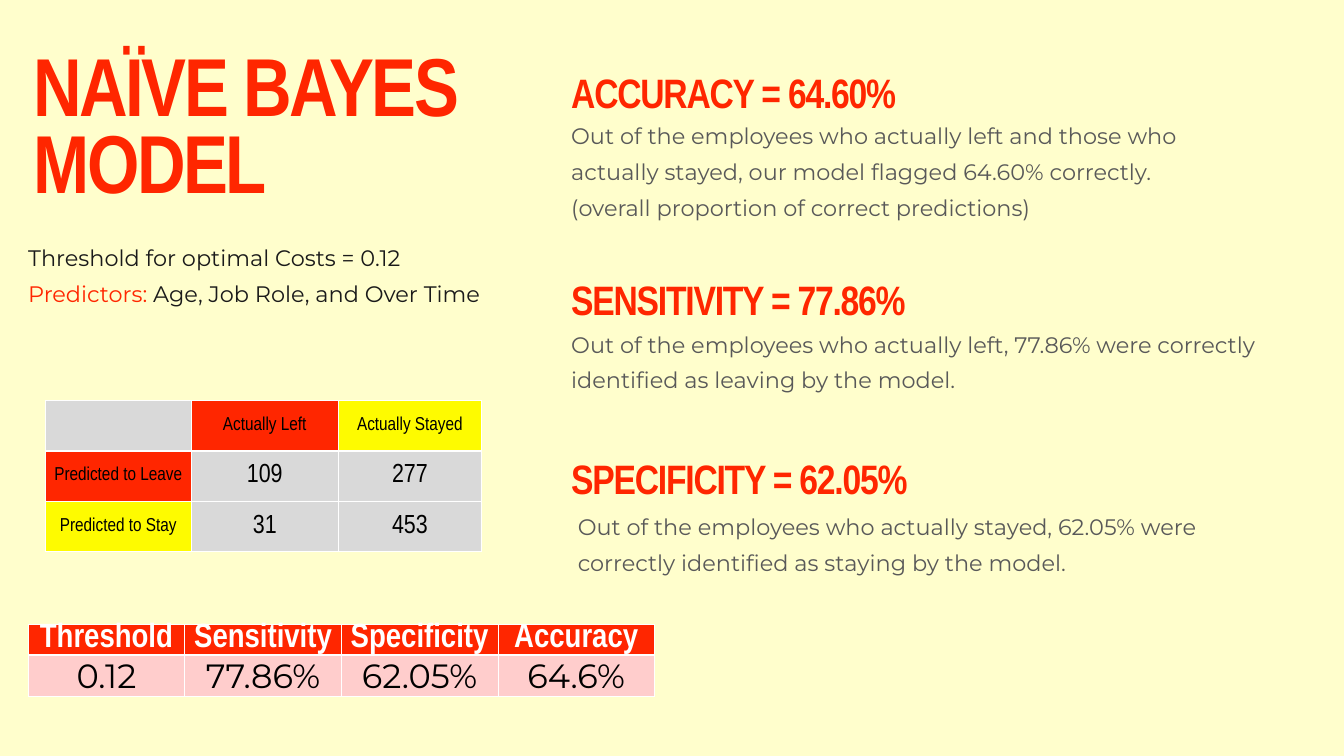
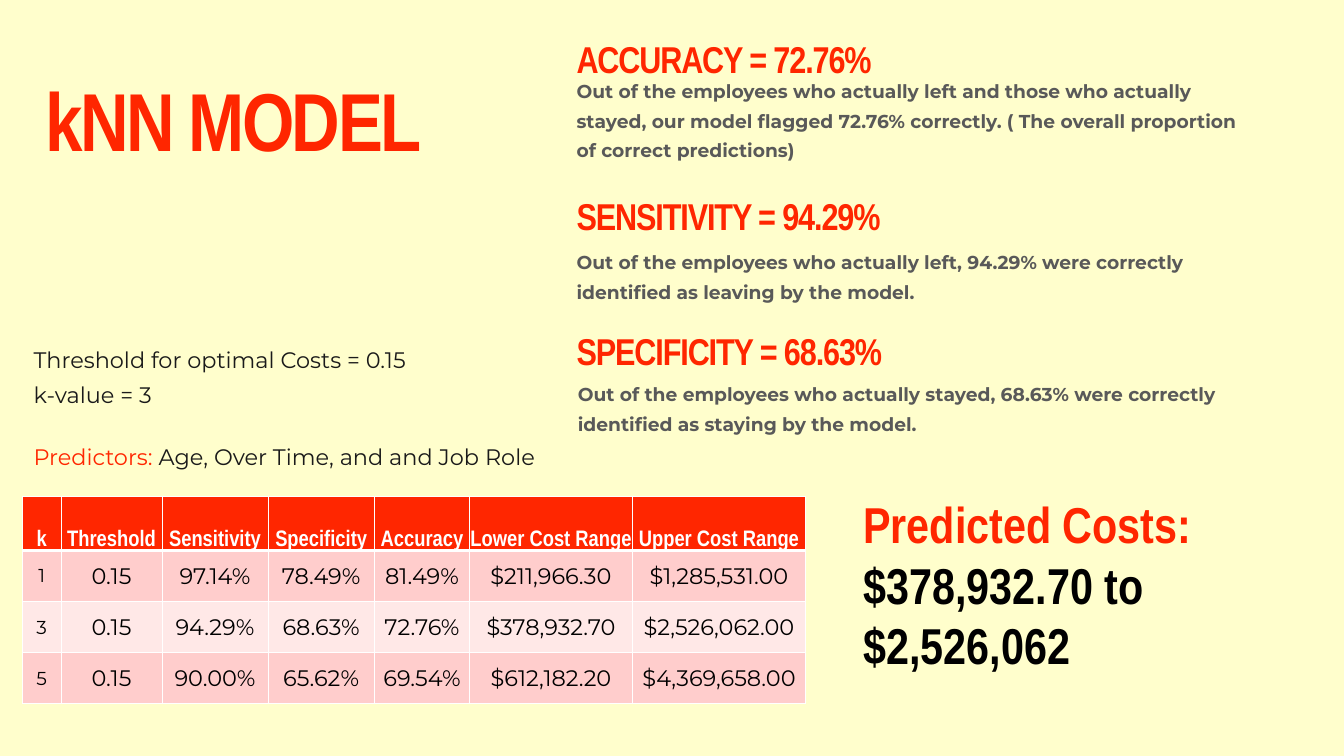
from dataclasses import dataclass

from lxml.etree import SubElement
from pptx import Presentation
from pptx.dml.color import RGBColor as Rgb
from pptx.enum.text import MSO_ANCHOR as Anchor, MSO_AUTO_SIZE as AutoSize, PP_ALIGN as Align
from pptx.oxml.ns import qn
from pptx.util import Inches, Pt


@dataclass(frozen=True)
class Theme:
    # Colours
    cream: str = "FFFECC"
    red: str = "FF2600"
    yellow: str = "FEFB00"
    grey: str = "D9D9D9"
    pink: str = "FFCDCC"
    pale_pink: str = "FFE8E7"
    white: str = "FFFFFF"
    black: str = "000000"
    ink: str = "1A1A1A"
    slate: str = "595959"
    # Fonts
    display: str = "Arial Narrow"
    text: str = "Montserrat"
    # Type sizes in points
    title: int = 88
    costs: int = 54
    large: int = 44
    heading: int = 40
    summary: int = 36
    count: int = 28
    body: int = 24
    small: int = 20
    # Line spacing
    title_lines: float = 0.78
    head_lines: float = 0.8
    heading_lines: float = 0.91
    body_lines: float = 1.33


THEME = Theme()


def style_span(span, size, color, font=THEME.text, bold=False, tight=False):
    span.font.size = Pt(size)
    span.font.name = font
    span.font.bold = bold
    span.font.color.rgb = Rgb.from_string(color)
    if tight:  # tracking of -3 % of the type size, in hundredths of a point
        span.font._element.set("spc", str(-3 * size))


def place(box, left, top, width, height):
    box.left, box.top = Inches(left), Inches(top)
    box.width, box.height = Inches(width), Inches(height)


def prepare_frame(box, anchor=Anchor.MIDDLE, inset=False):
    frame = box.text_frame
    frame.word_wrap = True
    frame.auto_size = AutoSize.NONE
    frame.vertical_anchor = anchor
    if not inset:
        frame.margin_left = frame.margin_right = frame.margin_top = frame.margin_bottom = 0
    return frame


def add_slide(deck, title, bounds):
    page = deck.slides.add_slide(deck.slide_layouts[5])
    page.background.fill.solid()
    page.background.fill.fore_color.rgb = Rgb.from_string(THEME.cream)
    place(page.shapes.title, *bounds)
    frame = prepare_frame(page.shapes.title)
    frame.text = title
    para = frame.paragraphs[0]
    para.alignment = Align.LEFT
    para.line_spacing = THEME.title_lines
    style_span(para.runs[0], THEME.title, THEME.red, THEME.display, True, True)
    return page


def add_text(page, bounds, lines, size, font=THEME.text, bold=False, tight=False,
             spacing=None, inset=False):
    """Each line is a list of (text, colour) spans."""
    box = page.shapes.add_textbox(*(Inches(length) for length in bounds))
    frame = prepare_frame(box, Anchor.TOP if inset else Anchor.MIDDLE, inset)
    for index, spans in enumerate(lines):
        para = frame.add_paragraph() if index else frame.paragraphs[0]
        para.line_spacing = spacing
        for text, color in spans:
            span = para.add_run()
            span.text = text
            style_span(span, size, color, font, bold, tight)
    return frame


def add_metric(page, heading, heading_bounds, heading_size, lines, bounds, size,
               bold=False, inset=False):
    add_text(page, bounds, [[(line, THEME.slate)] for line in lines], size, bold=bold,
             spacing=THEME.body_lines, inset=inset)
    add_text(page, heading_bounds, [[(heading, THEME.red)]], heading_size, THEME.display,
             True, True, THEME.heading_lines)


def set_borders(cell, bottom):
    properties = cell._tc.get_or_add_tcPr()
    widths = {"a:lnL": 1, "a:lnR": 1, "a:lnT": 1, "a:lnB": bottom}
    for index, (tag, width) in enumerate(widths.items()):
        line = SubElement(properties, qn(tag), w=str(Pt(width)))
        fill = SubElement(line, qn("a:solidFill"))
        SubElement(fill, qn("a:srgbClr"), val=THEME.white)
        properties.insert(index, line)


def add_table(page, left, top, columns, heights, rows, style_cell):
    """style_cell(row, column) gives fill, span style, anchor, line spacing and tightness."""
    table = page.shapes.add_table(len(rows), len(columns), Inches(left), Inches(top),
                                  Inches(sum(columns)), Inches(sum(heights))).table
    for column, width in zip(table.columns, columns):
        column.width = Inches(width)
    for row, height in zip(table.rows, heights):
        row.height = Inches(height)
    for r, texts in enumerate(rows):
        for c, text in enumerate(texts):
            cell = table.cell(r, c)
            fill, span_style, anchor, spacing, snug = style_cell(r, c)
            cell.fill.solid()
            cell.fill.fore_color.rgb = Rgb.from_string(fill)
            set_borders(cell, 1 if r else 3)
            cell.vertical_anchor = anchor
            if snug:
                cell.margin_left = cell.margin_right = cell.margin_top = Inches(0.01)
                cell.margin_bottom = 0
            cell.text_frame.text = text
            para = cell.text_frame.paragraphs[0]
            para.alignment = Align.CENTER
            para.line_spacing = spacing
            for span in para.runs:
                style_span(span, *span_style)


def results_style(size, head_anchor, first_size):
    """Red header over rows in alternating pinks."""
    def style_cell(row, column):
        if row == 0:
            span_style = (size, THEME.white, THEME.display, True)
            return THEME.red, span_style, head_anchor, THEME.head_lines, True
        fill = THEME.pink if row % 2 else THEME.pale_pink
        span_style = (size if column else first_size, THEME.black)
        return fill, span_style, Anchor.MIDDLE, None, True
    return style_cell


def confusion_style(row, column):
    """Red for leaving, yellow for staying, grey for the counts."""
    label = row == 0 or column == 0
    fill = (THEME.grey, THEME.red, THEME.yellow)[row + column] if label else THEME.grey
    size = THEME.small if label else THEME.count
    return fill, (size, THEME.black, THEME.display), Anchor.MIDDLE, None, False


def build_bayes(deck):
    page = add_slide(deck, "NAÏVE BAYES MODEL", (0.5, 0.71, 7.97, 2.5))
    add_text(page, (0.42, 3.25, 7.83, 1.56), [
        [("Threshold for optimal Costs = 0.12", THEME.ink)],
        [("Predictors: ", THEME.red), ("Age, Job Role, and Over Time", THEME.ink)],
    ], THEME.body, spacing=THEME.body_lines)

    # Metrics
    add_metric(page, "ACCURACY = 64.60%", (8.5, 1.04, 6.83, 0.74), THEME.large, [
        "Out of the employees who actually left and those who actually stayed, "
        "our model flagged 64.60% correctly.",
        "(overall proportion of correct predictions)",
    ], (8.5, 1.71, 10.17, 1.56), THEME.body)
    add_metric(page, "SENSITIVITY = 77.86%", (8.5, 4.12, 7.5, 0.74), THEME.large, [
        "Out of the employees who actually left, 77.86% were correctly "
        "identified as leaving by the model.",
    ], (8.5, 4.54, 10.42, 1.56), THEME.body)
    add_metric(page, "SPECIFICITY = 62.05%", (8.5, 6.79, 8, 0.74), THEME.large, [
        "Out of the employees who actually stayed, 62.05% were correctly "
        "identified as staying by the model.",
    ], (8.5, 7.46, 10.5, 1.12), THEME.body, inset=True)

    # Confusion matrix
    add_table(page, 0.67, 5.96, [2.18, 2.18, 2.14], [0.75] * 3, [
        ["", "Actually Left", "Actually Stayed"],
        ["Predicted to Leave", "109", "277"],
        ["Predicted to Stay", "31", "453"],
    ], confusion_style)

    # Summary
    add_table(page, 0.42, 9.29, [2.33] * 4, [0.46, 0.62], [
        ["Threshold", "Sensitivity", "Specificity", "Accuracy"],
        ["0.12", "77.86%", "62.05%", "64.6%"],
    ], results_style(THEME.summary, Anchor.MIDDLE, THEME.summary))


def build_knn(deck):
    page = add_slide(deck, "kNN MODEL", (0.67, 1.29, 7.97, 1.25))
    settings = add_text(page, (0.5, 4.88, 7.75, 2.25), [
        [("Threshold for optimal Costs = 0.15", THEME.ink)],
        [("k-value = 3", THEME.ink)],
        [("Predictors: ", THEME.red), ("Age, Over Time, and and Job Role", THEME.ink)],
    ], THEME.body, spacing=THEME.body_lines)
    settings.paragraphs[1].space_after = Pt(28)

    # Metrics
    add_metric(page, "ACCURACY = 72.76%", (8.58, 0.54, 6.17, 0.74), THEME.heading, [
        "Out of the employees who actually left and those who actually stayed, "
        "our model flagged 72.76% correctly. ( The overall proportion of correct predictions)",
    ], (8.58, 0.96, 10.17, 1.56), THEME.small, bold=True)
    add_metric(page, "SENSITIVITY = 94.29%", (8.58, 2.88, 6.67, 0.74), THEME.heading, [
        "Out of the employees who actually left, 94.29% were correctly "
        "identified as leaving by the model.",
    ], (8.58, 3.29, 10.42, 1.56), THEME.small, bold=True)
    add_metric(page, "SPECIFICITY = 68.63%", (8.58, 4.88, 6.42, 0.74), THEME.heading, [
        "Out of the employees who actually stayed, 68.63% were correctly "
        "identified as staying by the model.",
    ], (8.5, 5.54, 10.5, 0.95), THEME.small, bold=True, inset=True)

    # Results by k
    columns = [0.58, 1.5, 1.58, 1.58, 1.42, 2.42, 2.58]
    add_table(page, 0.33, 7.38, columns, [0.81] + [0.76] * 3, [
        ["k", "Threshold", "Sensitivity", "Specificity", "Accuracy",
         "Lower Cost Range", "Upper Cost Range"],
        ["1", "0.15", "97.14%", "78.49%", "81.49%", "$211,966.30", "$1,285,531.00"],
        ["3", "0.15", "94.29%", "68.63%", "72.76%", "$378,932.70", "$2,526,062.00"],
        ["5", "0.15", "90.00%", "65.62%", "69.54%", "$612,182.20", "$4,369,658.00"],
    ], results_style(THEME.body, Anchor.BOTTOM, THEME.small))

    # Predicted costs
    add_text(page, (12.75, 7.29, 6.08, 2.83), [
        [("Predicted Costs:", THEME.red)],
        [("$378,932.70 to $2,526,062", THEME.black)],
    ], THEME.costs, THEME.display, bold=True, inset=True)


def main():
    deck = Presentation()
    deck.slide_width, deck.slide_height = Inches(20), Inches(11.25)
    build_bayes(deck)
    build_knn(deck)
    deck.save("out.pptx")


if __name__ == "__main__":
    main()
